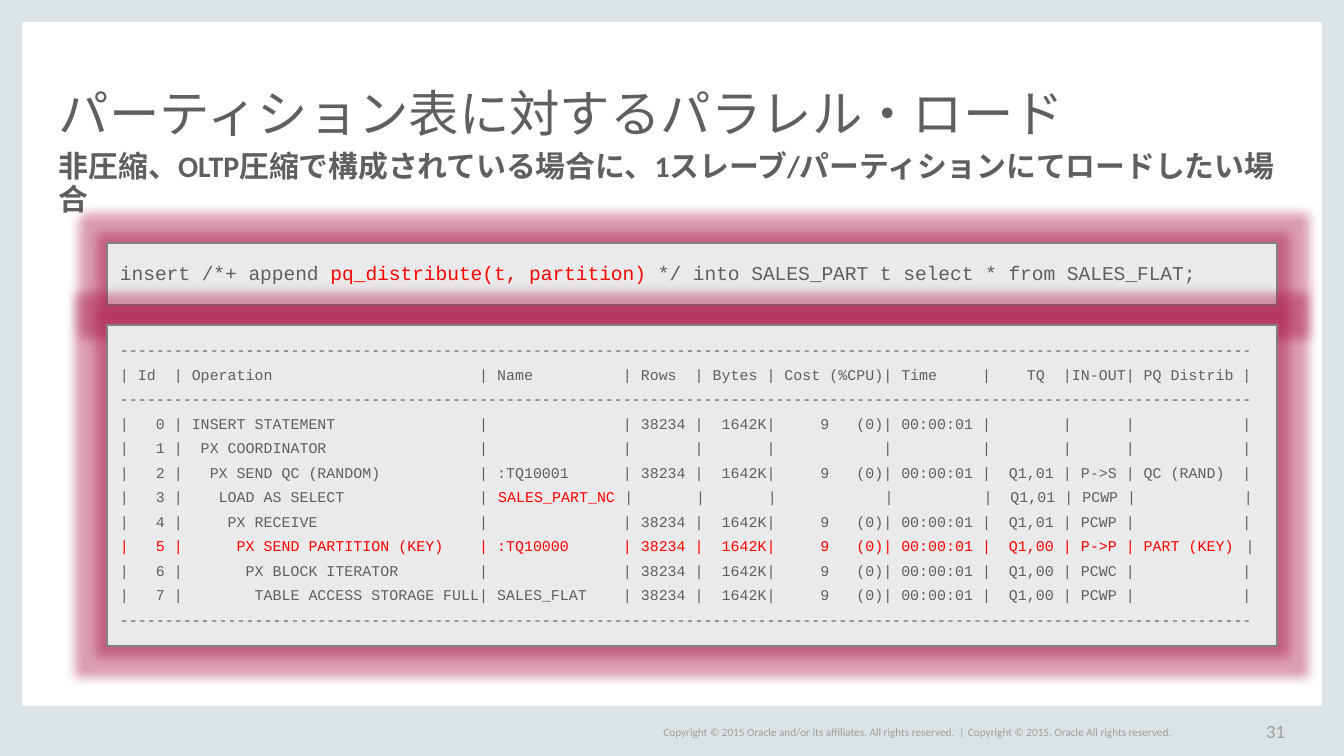
from dataclasses import dataclass
from lxml import etree
from pptx import Presentation, util as u
from pptx.dml.color import RGBColor
from pptx.enum import shapes, text
from pptx.oxml.ns import qn


@dataclass
class Theme:
    frame: str = "DCE3E4"
    panel: str = "EAEAEA"
    line: str = "808080"
    ink: str = "5F5F5F"
    mark: str = "FF0000"
    pale: str = "9F9F9F"
    glow: str = "A50A40"
    sans: str = "Calibri"
    mono: str = "Courier New"
    title: float = 27
    sub: float = 16
    code: float = 10.5
    plan: float = 8
    note: float = 6
    page: float = 10


T = Theme()
LEFT, MID, RIGHT = text.PP_ALIGN.LEFT, text.PP_ALIGN.CENTER, text.PP_ALIGN.RIGHT
TOP, CENTER, BASE = text.MSO_ANCHOR.TOP, text.MSO_ANCHOR.MIDDLE, text.MSO_ANCHOR.BOTTOM


def px(*vals):
    return [u.Inches(v / 134.4) for v in vals]


def write(shape, lines, size, color, font=T.sans, bold=False, align=LEFT,
          anchor=CENTER, space=0.9, pad=(0, 0), wrap=True):
    """Fill a shape with lines; text between ^ signs is marked."""
    frame = shape.text_frame
    frame.auto_size = text.MSO_AUTO_SIZE.NONE
    frame.word_wrap = wrap
    frame.vertical_anchor = anchor
    frame.margin_left = frame.margin_right = px(pad[0])[0]
    frame.margin_top = frame.margin_bottom = px(pad[1])[0]
    for i, line in enumerate(lines):
        para = frame.add_paragraph() if i else frame.paragraphs[0]
        para.alignment = align
        para.line_spacing = space
        para.space_before = u.Pt(4.5 if i else 0)
        for j, part in enumerate(line.split("^")):
            if part:
                run = para.add_run()
                run.text = part
                run.font.size = u.Pt(size)
                run.font.name = font
                run.font.bold = bold
                run.font.color.rgb = RGBColor.from_string(T.mark if j % 2 else color)


deck = Presentation()
deck.slide_width, deck.slide_height = px(1344, 756)
slide = deck.slides.add_slide(deck.slide_layouts[1])

# Frame around the page
for box in [(0, 0, 22, 756), (1322, 0, 22, 756), (0, 706, 1344, 50), (0, 0, 1344, 22)]:
    bar = slide.shapes.add_shape(shapes.MSO_SHAPE.RECTANGLE, *px(*box))
    bar.shadow.inherit = False
    bar.fill.solid()
    bar.fill.fore_color.rgb = RGBColor.from_string(T.frame)
    bar.line.fill.background()

# Title and subtitle
title, body = slide.shapes.title, slide.placeholders[1]
title.left, title.top, title.width, title.height = px(59, 44, 1227, 98)
write(title, ["パーティション表に対するパラレル・ロード"], T.title, T.ink, anchor=BASE, space=0.8)
body.left, body.top, body.width, body.height = px(59, 152, 1227, 38)
props = body.text_frame.paragraphs[0]._p.get_or_add_pPr()
props.set("marL", "0")
props.set("indent", "0")
etree.SubElement(props, qn("a:buNone"))
write(body, ["非圧縮、OLTP圧縮で構成されている場合に、1スレーブ/パーティションにてロードしたい場合"],
      T.sub, T.ink, bold=True, anchor=TOP)

# Statement and its execution plan
code = ["insert /*+ append ^pq_distribute(t, partition) ^*/ into SALES_PART t select * from SALES_FLAT;"]
rule = "-" * 126
plan = [
    rule,
    "| Id  | Operation                       | Name          | Rows  | Bytes | Cost (%CPU)| Time     |    TQ  |IN-OUT| PQ Distrib |",
    rule,
    "|   0 | INSERT STATEMENT                |               | 38234 |  1642K|     9   (0)| 00:00:01 |        |      |            |",
    "|   1 |  PX COORDINATOR                 |               |       |       |            |          |        |      |            |",
    "|   2 |   PX SEND QC (RANDOM)           | :TQ10001      | 38234 |  1642K|     9   (0)| 00:00:01 |  Q1,01 | P->S | QC (RAND)  |",
    "|   3 |    LOAD AS SELECT               | ^SALES_PART_NC^ |       |       |            |          |  Q1,01 | PCWP |            |",
    "|   4 |     PX RECEIVE                  |               | 38234 |  1642K|     9   (0)| 00:00:01 |  Q1,01 | PCWP |            |",
    "^|   5 |      PX SEND PARTITION (KEY)    | :TQ10000      | 38234 |  1642K|     9   (0)| 00:00:01 |  Q1,00 | P->P | PART (KEY) ^|",
    "|   6 |       PX BLOCK ITERATOR         |               | 38234 |  1642K|     9   (0)| 00:00:01 |  Q1,00 | PCWC |            |",
    "|   7 |        TABLE ACCESS STORAGE FULL| SALES_FLAT    | 38234 |  1642K|     9   (0)| 00:00:01 |  Q1,00 | PCWP |            |",
    rule,
]
for top, high, lines, size in [(243, 62, code, T.code), (325, 321, plan, T.plan)]:
    panel = slide.shapes.add_shape(shapes.MSO_SHAPE.RECTANGLE, *px(107, top, 1170, high))
    panel.fill.solid()
    panel.fill.fore_color.rgb = RGBColor.from_string(T.panel)
    panel.line.color.rgb = RGBColor.from_string(T.line)
    panel.line.width = u.Pt(0.75)
    panel.shadow.inherit = False
    glow = etree.SubElement(panel._element.spPr.find(qn("a:effectLst")), qn("a:glow"),
                            rad=str(u.Pt(11)))
    tint = etree.SubElement(glow, qn("a:srgbClr"), val=T.glow)
    etree.SubElement(tint, qn("a:alpha"), val="40000")
    write(panel, lines, size, T.ink, font=T.mono, pad=(13, 7))

# Footer
for left, wide, line, size, align in [
    (660, 308, "Copyright © 2015 Oracle and/or its affiliates. All rights reserved.  |", T.note, MID),
    (968, 275, "Copyright © 2015, Oracle All rights reserved.", T.note, LEFT),
    (1243, 42, "31", T.page, RIGHT),
]:
    note = slide.shapes.add_textbox(*px(left, 723, wide, 20))
    write(note, [line], size, T.pale, align=align, wrap=False)

deck.save("out.pptx")
